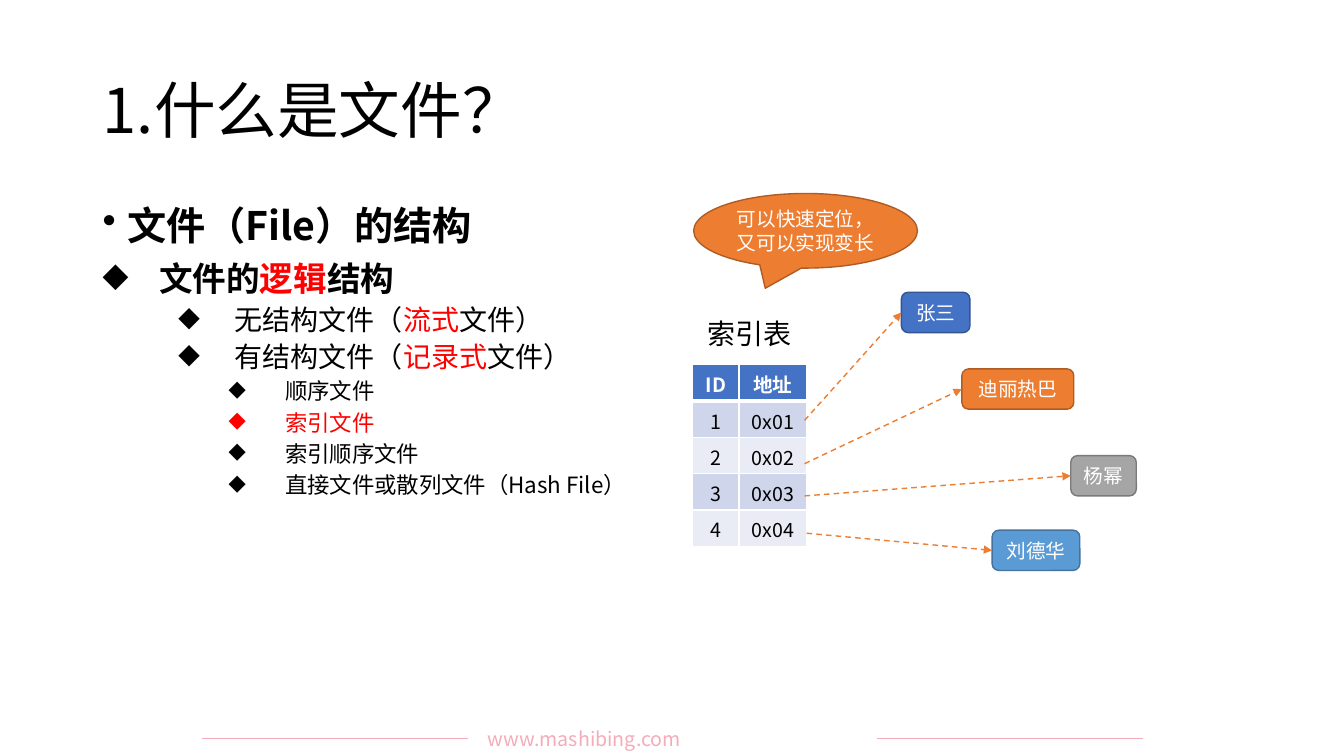
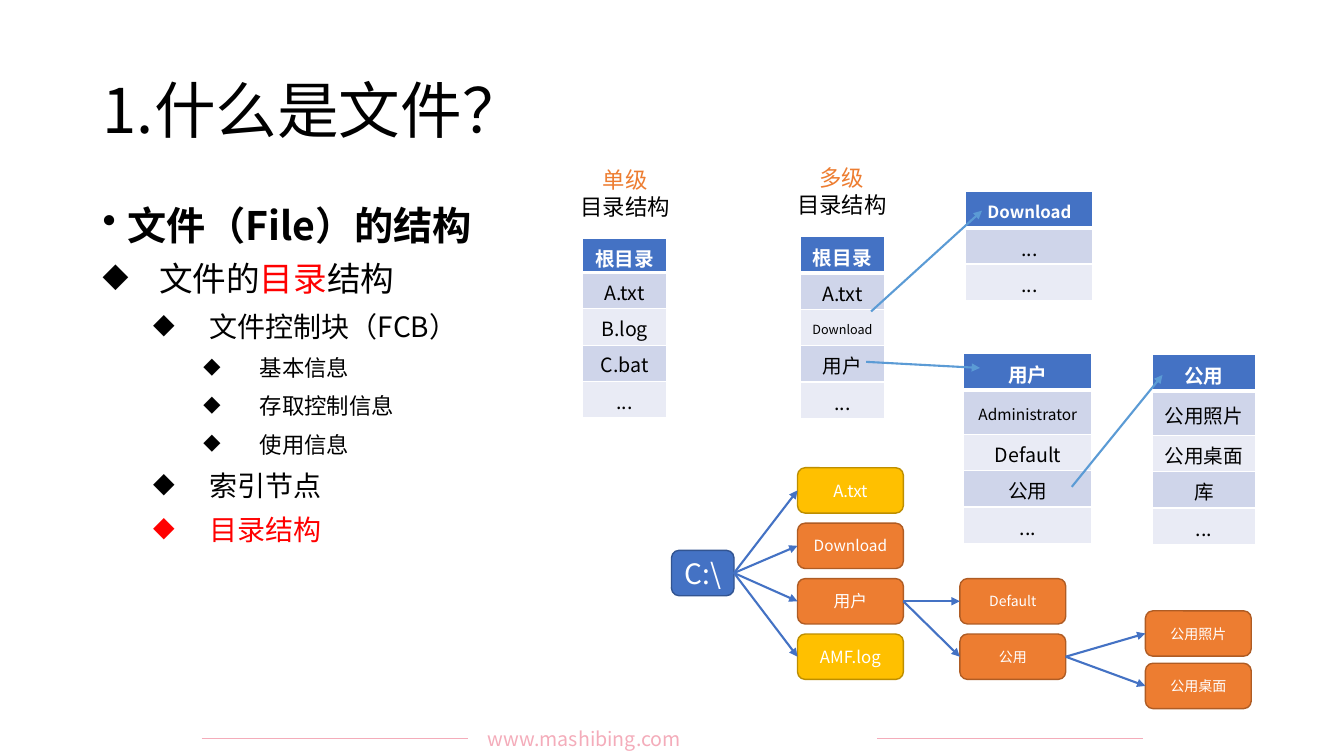
from lxml import etree
from pptx import Presentation
from pptx import util as u
from pptx.dml.color import RGBColor
from pptx.enum import dml, shapes, text
from pptx.oxml.ns import qn

FONT = "Noto Sans CJK SC"
BLACK, WHITE, RED, PINK = "000000", "FFFFFF", "FF0000", "F4ACBA"
BLUE, ORANGE, GRAY, SKY, GOLD = "4472C4", "ED7D31", "A5A5A5", "5B9BD5", "FFC000"
EDGE = {BLUE: "325491", ORANGE: "AF5C24", GRAY: "7A7A7A", SKY: "43739E", GOLD: "BD8E00"}
BANDS = ["CFD5EA", "E9EBF5"]
MID, LEFT, JUST = text.PP_ALIGN.CENTER, text.PP_ALIGN.LEFT, text.PP_ALIGN.JUSTIFY

TITLE = "1.什么是文件？"
SITE = "www.mashibing.com"
HEAD = ("文件（File）的结构", 28, 0.25, 0, True)

# 文字, 字号, 缩进, 段前, 粗体
LOGIC = [
    HEAD,
    ("文件的|逻辑|结构", 24, 0.56, 10, True),
    ("无结构文件（|流式|文件）", 20, 1.31, 5, False),
    ("有结构文件（|记录式|文件）", 20, 1.31, 5, False),
    ("顺序文件", 16, 1.81, 5, False),
    ("|索引文件", 16, 1.81, 5, False),
    ("索引顺序文件", 16, 1.81, 5, False),
    ("直接文件或散列文件（Hash File）", 16, 1.81, 5, False),
]
FOLDER = [
    HEAD,
    ("文件的|目录|结构", 24, 0.56, 10, False),
    ("文件控制块（FCB）", 20, 1.06, 10, False),
    ("基本信息", 16, 1.56, 10, False),
    ("存取控制信息", 16, 1.56, 10, False),
    ("使用信息", 16, 1.56, 10, False),
    ("索引节点", 20, 1.06, 10, False),
    ("|目录结构", 20, 1.06, 10, False),
]
INDEX = [("ID", "地址")] + [(str(n), f"0x0{n}") for n in range(1, 5)]
PEOPLE = [
    ("张三", (8.94, 2.9, 0.68, 0.4), BLUE, (7.98, 4.17)),
    ("迪丽热巴", (9.54, 3.66, 1.11, 0.4), ORANGE, (7.98, 4.6)),
    ("杨幂", (10.62, 4.52, 0.65, 0.4), GRAY, (7.98, 4.92)),
    ("刘德华", (9.84, 5.26, 0.87, 0.4), SKY, (8, 5.29)),
]
LABELS = [("|单级", 5.37, 1.6), ("|多级", 7.52, 1.58)]
SMALL = [0.36] * 5
TALL = [0.36, 0.44, 0.36, 0.36, 0.36]
TABLES = [
    (5.78, 2.37, 0.83, [0.31] + SMALL[1:], 0.05, ["根目录", "A.txt", "B.log", "C.bat", "..."], {}),
    (9.58, 1.9, 1.26, SMALL[:3], 0.02, ["Download", "...", "..."], {0: 12}),
    (9.56, 3.51, 1.27, TALL, 0.02, ["用户", "Administrator", "Default", "公用", "..."], {1: 11}),
    (11.43, 3.52, 1.02, TALL, 0.02, ["公用", "公用照片", "公用桌面", "库", "..."], {}),
    (7.94, 2.35, 0.83, SMALL, 0.02, ["根目录", "A.txt", "Download", "用户", "..."], {2: 9}),
]
LINKS = [
    ((10.63, 4.83), (11.53, 3.72)),
    ((8.59, 3.59), (9.72, 3.65)),
    ((8.64, 3.09), (9.74, 2.09)),
]
COLS, TOP, STEP = [7.91, 9.52, 11.36], 4.64, 0.55
NODES = [
    ("A.txt", 0, TOP, GOLD, 12, "C:\\"),
    ("Download", 0, TOP + STEP, ORANGE, 11, "C:\\"),
    ("用户", 0, TOP + 2 * STEP, ORANGE, 12, "C:\\"),
    ("AMF.log", 0, TOP + 3 * STEP, GOLD, 12, "C:\\"),
    ("Default", 1, TOP + 2 * STEP, ORANGE, 10, "用户"),
    ("公用", 1, TOP + 3 * STEP, ORANGE, 10, "用户"),
    ("公用照片", 2, 6.06, ORANGE, 10, "公用"),
    ("公用桌面", 2, 6.58, ORANGE, 10, "公用"),
]


def rgb(code):
    return RGBColor.from_string(code)


def inch(*vals):
    return [u.Inches(v) for v in vals]


def sub(node, tag, **attrs):
    return etree.SubElement(node, qn(tag), attrs)


def write(para, words, size=14, color=BLACK, accent=RED, bold=False, align=LEFT,
          space=None, before=0, indent=None, bullet=None, hang=0):
    """Fill a paragraph; parts between bars take the accent colour."""
    para.alignment = align
    if space:
        para.line_spacing = space
    if before:
        para.space_before = u.Pt(before)
    if bullet:
        props = para._p.get_or_add_pPr()
        props.set("marL", str(u.Inches(indent)))
        props.set("indent", str(-u.Inches(hang)))
        sub(props, "a:buChar", char=bullet)
    for i, part in enumerate(words.split("|")):
        if part:
            run = para.add_run()
            run.text = part
            font = run.font
            font.name, font.size, font.bold = FONT, u.Pt(size), bold
            font.color.rgb = rgb(accent if i % 2 else color)
            sub(run._r.get_or_add_rPr(), "a:ea", typeface=FONT)


def label(slide, box, lines, anchor=text.MSO_ANCHOR.TOP, **fmt):
    frame = slide.shapes.add_textbox(*inch(*box)).text_frame
    frame.word_wrap = True
    frame.vertical_anchor = anchor
    for i, words in enumerate(lines):
        para = frame.paragraphs[0] if i == 0 else frame.add_paragraph()
        write(para, words, **fmt)
    return frame


def block(slide, words, box, fill, size=14, kind=shapes.MSO_SHAPE.ROUNDED_RECTANGLE, wrap=False):
    shape = slide.shapes.add_shape(kind, *inch(*box))
    shape.shadow.inherit = False
    shape.fill.solid()
    shape.fill.fore_color.rgb = rgb(fill)
    shape.line.color.rgb = rgb(EDGE[fill])
    shape.line.width = u.Pt(1)
    frame = shape.text_frame
    frame.word_wrap = wrap
    frame.vertical_anchor = text.MSO_ANCHOR.MIDDLE
    write(frame.paragraphs[0], words, size, WHITE, align=MID)
    return shape


def line(slide, start, end, color, width=1.5, dash=False, arrow=True):
    """Draw a line; each end is a point or a shape to join."""
    pts = [p if isinstance(p, tuple) else (0, 0) for p in (start, end)]
    conn = slide.shapes.add_connector(shapes.MSO_CONNECTOR.STRAIGHT, *inch(*pts[0], *pts[1]))
    if not isinstance(start, tuple):
        conn.begin_connect(start, 3)
    if not isinstance(end, tuple):
        conn.end_connect(end, 1)
    conn.line.color.rgb = rgb(color)
    conn.line.width = u.Pt(width)
    if dash:
        conn.line.dash_style = dml.MSO_LINE.DASH
    props = conn._element.spPr
    if arrow:
        sub(props.find(qn("a:ln")), "a:tailEnd", type="triangle")
    sub(props, "a:effectLst")


def border(cell, head):
    props = cell._tc.get_or_add_tcPr()
    for i, side in enumerate("LRTB"):
        wide = 3 if head and side == "B" else 1
        edge = etree.Element(qn("a:ln" + side), w=str(u.Pt(wide)))
        sub(sub(edge, "a:solidFill"), "a:srgbClr", val=WHITE)
        props.insert(i, edge)


def grid(slide, left, top, cols, rows, low, data, sizes):
    box = inch(left, top, sum(cols), sum(rows))
    table = slide.shapes.add_table(len(rows), len(cols), *box).table
    for col, wide in zip(table.columns, cols):
        col.width = u.Inches(wide)
    for r, (row, high) in enumerate(zip(table.rows, rows)):
        row.height = u.Inches(high)
        head = r == 0
        for cell, words in zip(row.cells, data[r]):
            cell.fill.solid()
            cell.fill.fore_color.rgb = rgb(BLUE if head else BANDS[(r - 1) % 2])
            cell.vertical_anchor = text.MSO_ANCHOR.MIDDLE
            cell.margin_bottom = u.Inches(low)
            border(cell, head)
            write(cell.text_frame.paragraphs[0], words, sizes.get(r, 14),
                  WHITE if head else BLACK, bold=head, align=MID)


def base(deck, outline):
    """Add a slide with its footer, title and outline."""
    slide = deck.slides.add_slide(deck.slide_layouts[6])
    for left in (2, 8.7):
        line(slide, (left, 7.33), (left + 2.64, 7.33), PINK, 0.5, arrow=False)
    label(slide, (4.74, 7.16, 3.85, 0.34), [SITE], color=PINK, align=JUST)
    label(slide, (0.92, 0.4, 11.5, 1.45), [TITLE], text.MSO_ANCHOR.MIDDLE, size=44, space=0.9)
    frame = label(slide, (0.92, 2, 11.5, 5.1), [])
    for i, (words, size, indent, before, bold) in enumerate(outline):
        para = frame.add_paragraph() if i else frame.paragraphs[0]
        write(para, words, size, bold=bold, space=0.9, before=before, indent=indent,
              bullet="◆" if i else "•", hang=0.56 if i else 0.25)
    return slide


def logic(deck):
    slide = base(deck, LOGIC)
    grid(slide, 6.87, 3.62, [0.46, 0.67], SMALL, 0.05, INDEX, {})
    label(slide, (6.87, 3.09, 1.12, 0.44), ["索引表"], size=20, align=MID)
    for name, box, fill, start in PEOPLE:
        node = block(slide, name, box, fill)
        line(slide, start, node, ORANGE, 1, dash=True)
    note = block(slide, "可以快速定位，又可以实现变长", (6.88, 1.92, 2.22, 0.74), ORANGE,
                 kind=shapes.MSO_SHAPE.OVAL_CALLOUT, wrap=True)
    note.adjustments[0], note.adjustments[1] = -0.18, 0.77


def folder(deck):
    slide = base(deck, FOLDER)
    for words, left, top in LABELS:
        frame = label(slide, (left, top, 1.66, 0.64), [words], size=16, accent=ORANGE, align=MID)
        write(frame.add_paragraph(), "目录结构", 16, align=MID)
    for left, top, wide, rows, low, names, sizes in TABLES:
        grid(slide, left, top, [wide], rows, low, [(n,) for n in names], sizes)
    for start, end in LINKS:
        line(slide, start, end, SKY)
    tree = {"C:\\": block(slide, "C:\\", (6.66, 5.46, 0.62, 0.45), BLUE, 20)}
    for name, col, top, fill, size, parent in NODES:
        tree[name] = block(slide, name, (COLS[col], top, 1.05, 0.45), fill, size)
        line(slide, tree[parent], tree[name], BLUE)


def main():
    deck = Presentation()
    deck.slide_width, deck.slide_height = inch(13.33, 7.5)
    logic(deck)
    folder(deck)
    deck.save("out.pptx")


if __name__ == "__main__":
    main()
